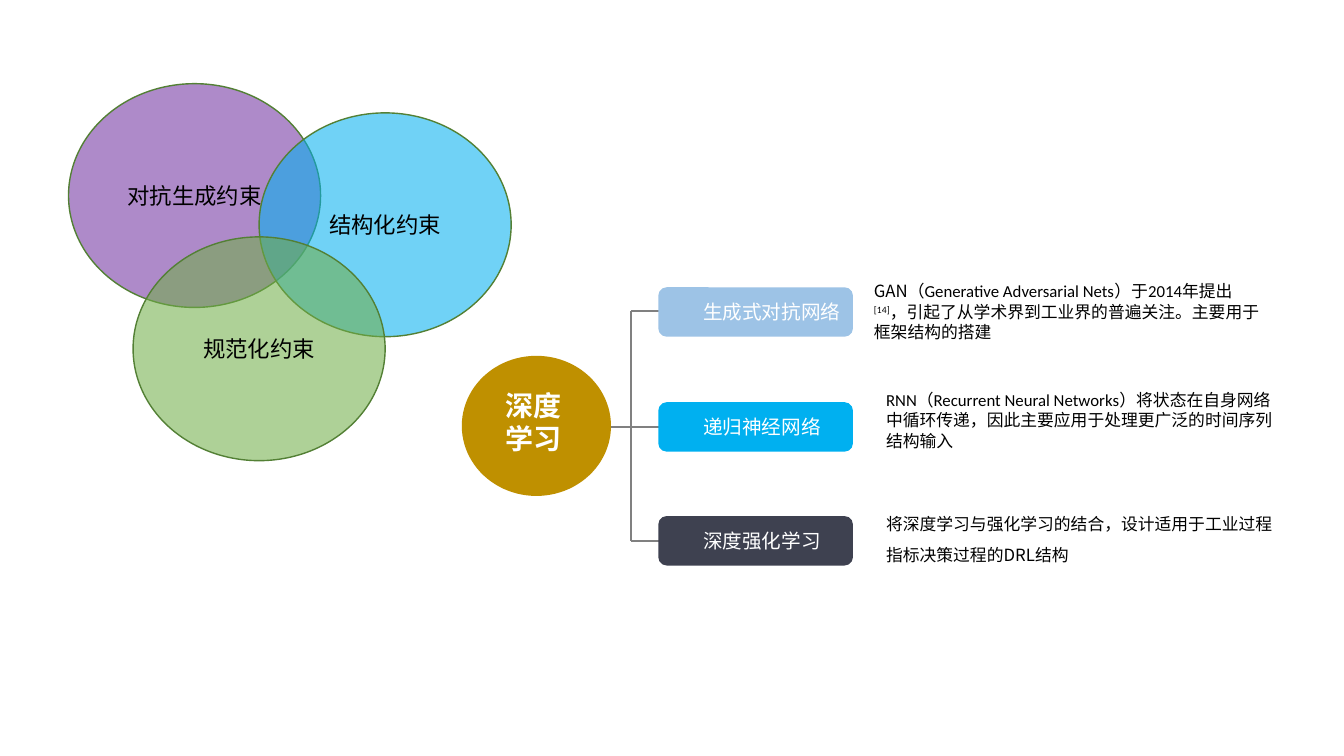
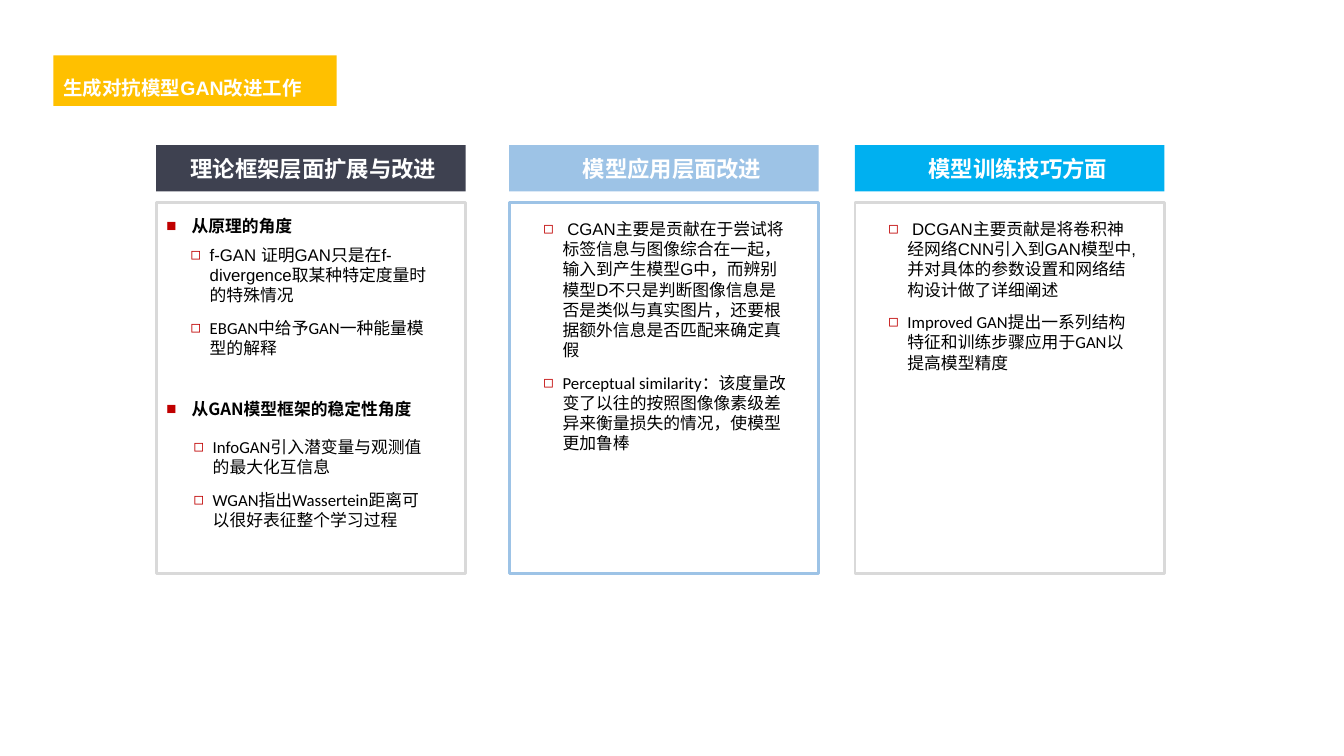
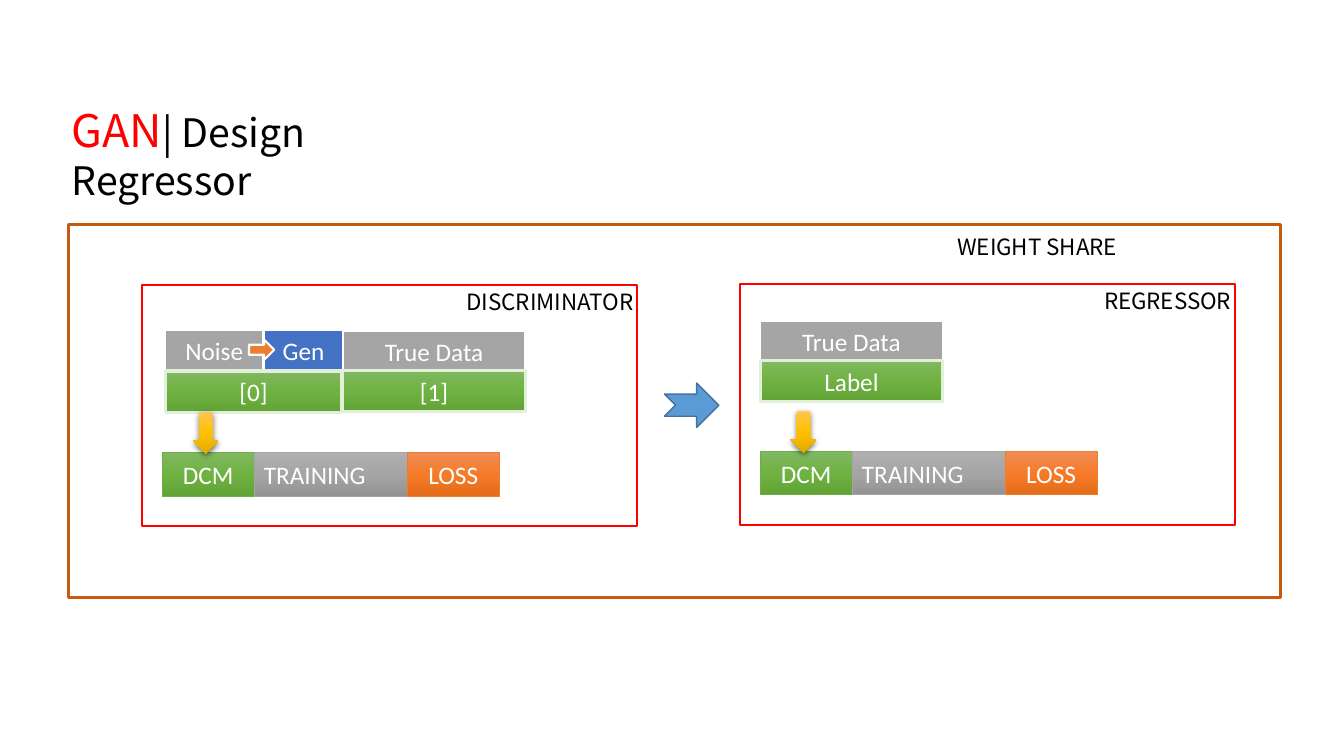
from copy import deepcopy
from dataclasses import dataclass

from lxml import etree
from pptx import Presentation
from pptx.dml.color import RGBColor
from pptx.enum.shapes import MSO_CONNECTOR, MSO_SHAPE
from pptx.enum.text import MSO_ANCHOR, MSO_AUTO_SIZE, PP_ALIGN
from pptx.oxml.ns import qn
from pptx.util import Inches, Pt

RECTANGLE = MSO_SHAPE.RECTANGLE
ROUNDED = MSO_SHAPE.ROUNDED_RECTANGLE
OVAL = MSO_SHAPE.OVAL
RIGHT_ARROW = MSO_SHAPE.RIGHT_ARROW
DOWN_ARROW = MSO_SHAPE.DOWN_ARROW
NOTCHED_ARROW = MSO_SHAPE.NOTCHED_RIGHT_ARROW
STRAIGHT = MSO_CONNECTOR.STRAIGHT
LEFT, CENTER, RIGHT = PP_ALIGN.LEFT, PP_ALIGN.CENTER, PP_ALIGN.RIGHT
TOP, MIDDLE = MSO_ANCHOR.TOP, MSO_ANCHOR.MIDDLE
NO_AUTOSIZE = MSO_AUTO_SIZE.NONE

LAYOUT_COMPARISON, LAYOUT_TITLE_ONLY, LAYOUT_BLANK = 4, 5, 6
SANS, KOREAN_SANS = "Noto Sans CJK SC", "Noto Sans CJK KR"
CALIBRI, ARIAL = "Calibri", "Arial"

BLACK, WHITE, RED = "000000", "FFFFFF", "FF0000"
SLATE, PALE_BLUE, CYAN = "3E4150", "9DC3E6", "00B0F0"
GREY, GREEN, ORANGE, FRAME_GREY = "A5A5A5", "70AD47", "ED7D31", "D9D9D9"
BULLET_RED, PALE_GREEN = "C00000", "E2F0D9"
GREEN_FADE = ("81B861", "6FB242", "62A336")
GREY_FADE = ("AFAFAF", "A5A5A5", "939393")
ORANGE_FADE = ("F18C57", "F67B28", "E56C19")
GOLD_FADE = ("FFC64B", "FFC000", "E3AB00")


@dataclass(frozen=True)
class TextStyle:
    size: float
    font: str = SANS
    color: str = BLACK
    bold: bool = False
    align: int = LEFT


@dataclass(frozen=True)
class Circle:
    text: str
    left: float
    top: float
    color: str


@dataclass(frozen=True)
class Branch:
    text: str
    center: float
    color: str


@dataclass(frozen=True)
class ListItem:
    text: str
    font: str = CALIBRI
    margin: float = 0.19
    hanging: float = 0.19
    space_before: float = 9
    marker: str = "◻"
    bold: bool = False


@dataclass(frozen=True)
class Column:
    heading: str
    left: float
    heading_inset: float
    color: str
    frame_color: str
    list_box: tuple
    items: tuple


@dataclass(frozen=True)
class Cell:
    text: str
    box: tuple
    fill: str | tuple
    line: str
    line_width: float
    align: int = CENTER


def rgb(color: str) -> RGBColor:
    return RGBColor.from_string(color)


def set_fill(shape, fill: str | tuple | None, opacity: int = 100) -> None:
    if fill is None:
        shape.fill.background()
    elif isinstance(fill, str):
        shape.fill.solid()
        shape.fill.fore_color.rgb = rgb(fill)
        if opacity < 100:
            color = next(shape._element.spPr.iter(qn("a:srgbClr")))
            etree.SubElement(color, qn("a:alpha"), val=str(opacity * 1000))
    else:
        shape.fill.gradient()
        shape.fill.gradient_angle = 270
        stop_list = next(shape._element.spPr.iter(qn("a:gsLst")))
        stop_list.insert(1, deepcopy(stop_list[0]))
        for index, stop in enumerate(shape.fill.gradient_stops):
            stop.position = index / 2
            stop.color.rgb = rgb(fill[index])


def add_box(slide, kind, box: tuple, fill=None, line: str | None = None,
            line_width: float = 1, opacity: int = 100):
    shape = slide.shapes.add_shape(kind, *map(Inches, box))
    shape.shadow.inherit = False
    set_fill(shape, fill, opacity)
    if line:
        shape.line.color.rgb = rgb(line)
        shape.line.width = Pt(line_width)
    else:
        shape.line.fill.background()
    return shape


def add_shadow(shape) -> None:
    effects = shape._element.spPr.find(qn("a:effectLst"))
    shadow = etree.SubElement(effects, qn("a:outerShdw"), blurRad=str(Pt(4.5)),
                              dist=str(Pt(1.5)), dir="5400000", rotWithShape="0")
    color = etree.SubElement(shadow, qn("a:srgbClr"), val=BLACK)
    etree.SubElement(color, qn("a:alpha"), val="63000")


def prepare_frame(shape, anchor) -> None:
    frame = shape.text_frame
    frame.word_wrap = True
    frame.auto_size = NO_AUTOSIZE
    frame.vertical_anchor = anchor


def format_paragraph(paragraph, style: TextStyle) -> None:
    paragraph.alignment = style.align
    font = paragraph.font
    font.size = Pt(style.size)
    font.name = style.font
    font.bold = style.bold
    font.color.rgb = rgb(style.color)
    etree.SubElement(font._rPr, qn("a:ea"), typeface=SANS)


def write(shape, text: str, style: TextStyle, anchor=MIDDLE) -> None:
    prepare_frame(shape, anchor)
    shape.text_frame.text = text
    for paragraph in shape.text_frame.paragraphs:
        format_paragraph(paragraph, style)


def add_text(slide, text: str, box: tuple, style: TextStyle):
    shape = slide.shapes.add_textbox(*map(Inches, box))
    write(shape, text, style, TOP)
    return shape


def add_line(slide, start: tuple, end: tuple) -> None:
    connector = slide.shapes.add_connector(STRAIGHT, *map(Inches, start + end))
    connector.line.color.rgb = rgb("808080")
    connector.line.width = Pt(1.5)
    etree.SubElement(connector._element.spPr, qn("a:effectLst"))


def place(shape, box: tuple) -> None:
    shape.left, shape.top, shape.width, shape.height = map(Inches, box)


def set_baseline(run, percent: int) -> None:
    run._r.get_or_add_rPr().set("baseline", str(percent * 1000))


def fill_list(shape, box: tuple, items: tuple) -> None:
    place(shape, box)
    prepare_frame(shape, TOP)
    shape.text_frame.text = "\n".join(item.text for item in items)
    for paragraph, item in zip(shape.text_frame.paragraphs, items):
        properties = paragraph._p.get_or_add_pPr()
        properties.set("marL", str(Inches(item.margin)))
        properties.set("indent", str(Inches(-item.hanging)))
        bullet_color = etree.SubElement(properties, qn("a:buClr"))
        etree.SubElement(bullet_color, qn("a:srgbClr"), val=BULLET_RED)
        etree.SubElement(properties, qn("a:buChar"), char=item.marker)
        paragraph.space_before = Pt(item.space_before)
        paragraph.space_after = Pt(0)
        format_paragraph(paragraph, TextStyle(12, item.font, bold=item.bold))


CIRCLES = (
    Circle("对抗生成约束", 0.68, 0.83, "7030A0"),
    Circle("结构化约束", 2.57, 1.12, CYAN),
    Circle("规范化约束", 1.32, 2.35, GREEN),
)
BRANCHES = (
    Branch("生成式对抗网络", 3.09, PALE_BLUE),
    Branch("递归神经网络", 4.23, CYAN),
    Branch("深度强化学习", 5.36, SLATE),
)


def build_deep_learning(presentation) -> None:
    slide = presentation.slides.add_slide(presentation.slide_layouts[LAYOUT_BLANK])
    for circle in CIRCLES:
        shape = add_box(slide, OVAL, (circle.left, circle.top, 2.5, 2.22),
                        circle.color, "538035", opacity=56)
        write(shape, circle.text, TextStyle(16, CALIBRI, align=CENTER))

    trunk = 6.26
    add_line(slide, (trunk, 3.09), (trunk, 5.37))
    for start, end, height in ((trunk, 7.25, 3.09), (5.87, 6.86, 4.24),
                               (trunk, 7.25, 5.37)):
        add_line(slide, (start, height), (end, height))
    hub = add_box(slide, OVAL, (4.58, 3.53, 1.48, 1.39), "BF9000")
    write(hub, "深度\n学习", TextStyle(20, color=WHITE, bold=True, align=CENTER))
    hub.text_frame.margin_right = Inches(0.16)
    hub.text_frame.margin_bottom = Inches(0.13)
    for branch in BRANCHES:
        shape = add_box(slide, ROUNDED, (6.53, branch.center - 0.24, 1.93, 0.49),
                        branch.color)
        write(shape, branch.text, TextStyle(14, color=WHITE))
        shape.text_frame.margin_left = Inches(0.42)
        shape.text_frame.margin_right = 0

    gan = add_text(slide, "GAN（", (8.57, 2.74, 4.07, 0.71), TextStyle(12))
    paragraph = gan.text_frame.paragraphs[0]
    for text in ("Generative Adversarial Nets）于2014年提出", "[14]",
                 "，引起了从学术界到工业界的普遍关注。主要用于框架结构的搭建"):
        run = paragraph.add_run()
        run.text = text
        run.font.name = CALIBRI
    set_baseline(paragraph.runs[2], 30)
    add_text(slide, "RNN（Recurrent Neural Networks）将状态在自身网络中循环传递，"
             "因此主要应用于处理更广泛的时间序列结构输入",
             (8.69, 3.82, 4.07, 0.91), TextStyle(12, CALIBRI))
    reinforcement = add_text(
        slide, "将深度学习与强化学习的结合，设计适用于工业过程指标决策过程的DRL结构",
        (8.69, 4.95, 4.07, 0.91), TextStyle(12))
    reinforcement.text_frame.paragraphs[0].line_spacing = 1.5


COLUMNS = (
    Column("理论框架层面扩展与改进", 1.55, 0.34, SLATE, FRAME_GREY,
           (1.55, 2.09, 2.78, 3.3), (
               ListItem("从原理的角度", SANS, 0.25, 0.25, 0, "■", True),
               ListItem("f-GAN 证明GAN只是在f-divergence取某种特定度量时的特殊情况",
                        ARIAL, 0.43, space_before=6),
               ListItem("EBGAN中给予GAN一种能量模型的解释", margin=0.43),
               ListItem("从GAN模型框架的稳定性角度", SANS, 0.25, 0.25, 29, "■", True),
               ListItem("InfoGAN引入潜变量与观测值的最大化互信息",
                        margin=0.46, space_before=13),
               ListItem("WGAN指出Wassertein距离可以很好表征整个学习过程", margin=0.46),
           )),
    Column("模型应用层面改进", 5.05, 0.73, PALE_BLUE, PALE_BLUE,
           (5.29, 2.12, 2.67, 2.25), (
               ListItem(" CGAN主要是贡献在于尝试将标签信息与图像综合在一起，"
                        "输入到产生模型G中，而辨别模型D不只是判断图像信息是否是"
                        "类似与真实图片，还要根据额外信息是否匹配来确定真假", ARIAL),
               ListItem("Perceptual similarity：该度量改变了以往的按照图像像素级差异"
                        "来衡量损失的情况，使模型更加鲁棒"),
           )),
    Column("模型训练技巧方面", 8.48, 0.73, CYAN, FRAME_GREY,
           (8.71, 2.12, 2.67, 1.64), (
               ListItem(" DCGAN主要贡献是将卷积神经网络CNN引入到GAN模型中,"
                        "并对具体的参数设置和网络结构设计做了详细阐述", ARIAL),
               ListItem("Improved GAN提出一系列结构特征和训练步骤应用于GAN以提高模型精度"),
           )),
)


def build_improvements(presentation) -> None:
    slide = presentation.slides.add_slide(
        presentation.slide_layouts[LAYOUT_COMPARISON])
    title, *bodies = slide.placeholders
    place(title, (0.53, 0.55, 2.81, 0.5))
    set_fill(title, "FFC000")
    write(title, "生成对抗模型GAN改进工作", TextStyle(24, ARIAL, WHITE, True), TOP)
    set_baseline(title.text_frame.paragraphs[0].runs[0], -3)

    for column, body in zip(COLUMNS, bodies):
        add_box(slide, RECTANGLE, (column.left, 2.01, 3.07, 3.68),
                line=column.frame_color, line_width=2)
        heading = add_box(slide, RECTANGLE, (column.left, 1.44, 3.07, 0.46),
                          column.color)
        write(heading, column.heading, TextStyle(16, color=WHITE, bold=True))
        heading.text_frame.margin_left = Inches(column.heading_inset)
        fill_list(body, column.list_box, column.items)
    for unused in bodies[len(COLUMNS):]:
        unused._element.getparent().remove(unused._element)


SAMPLES = (
    Cell("Noise", (1.64, 3.27, 0.97, 0.41), GREY, WHITE, 1.5),
    Cell("Gen", (2.62, 3.27, 0.78, 0.41), "4472C4", WHITE, 1.5),
    Cell("[0]", (1.64, 3.68, 1.75, 0.41), GREEN_FADE, PALE_GREEN, 2.25),
)


def add_cell(slide, cell: Cell) -> None:
    shape = add_box(slide, RECTANGLE, cell.box, cell.fill, cell.line, cell.line_width)
    write(shape, cell.text, TextStyle(18, CALIBRI, WHITE, align=cell.align))


def add_caption(slide, text: str, left: float, top: float) -> None:
    add_text(slide, text, (left, top, 2.15, 0.84),
             TextStyle(16, KOREAN_SANS, align=RIGHT))


def add_true_data(slide, label: str, left: float, top: float) -> None:
    add_cell(slide, Cell("True Data", (left, top, 1.81, 0.41), GREY, WHITE, 1.5))
    add_cell(slide, Cell(label, (left, top + 0.4, 1.81, 0.4),
                         GREEN_FADE, PALE_GREEN, 2.25))


def add_module(slide, caption: str, left: float, top: float) -> None:
    add_box(slide, RECTANGLE, (left, top, 4.91, 2.39), line=RED, line_width=1.5)
    row = top + 1.66
    for cell in (
        Cell("DCM", (left + 0.2, row, 0.91, 0.43), GREEN_FADE, GREEN, 0.5),
        Cell("TRAINING", (left + 1.11, row, 2.43, 0.43), GREY_FADE, GREY, 0.5, LEFT),
        Cell("LOSS", (left + 2.63, row, 0.91, 0.43), ORANGE_FADE, ORANGE, 0.5),
    ):
        add_cell(slide, cell)
    arrow = add_box(slide, DOWN_ARROW, (left + 0.5, top + 1.26, 0.26, 0.41), GOLD_FADE)
    add_shadow(arrow)
    add_caption(slide, caption, left + 2.82, top - 0.02)


def build_regressor(presentation) -> None:
    slide = presentation.slides.add_slide(
        presentation.slide_layouts[LAYOUT_TITLE_ONLY])
    title = slide.shapes.title
    place(title, (0.61, 0.97, 3.64, 2.05))
    write(title, "GAN", TextStyle(28, KOREAN_SANS), TOP)
    paragraph = title.text_frame.paragraphs[0]
    topic = paragraph.runs[0]
    topic.font.size = Pt(32)
    topic.font.color.rgb = rgb(RED)
    paragraph.add_run().text = "| Design Regressor"

    add_box(slide, RECTANGLE, (0.68, 2.23, 12.02, 3.7), line="C55A11", line_width=2.25)
    for cell in SAMPLES:
        add_cell(slide, cell)
    add_box(slide, RIGHT_ARROW, (2.47, 3.37, 0.25, 0.2), ORANGE, WHITE, 1.5)
    add_true_data(slide, "[1]", 3.4, 3.28)
    add_module(slide, "DISCRIMINATOR", 1.41, 2.83)
    add_box(slide, NOTCHED_ARROW, (6.59, 3.8, 0.54, 0.44), "5B9BD5", "43739E")
    add_true_data(slide, "Label", 7.54, 3.18)
    add_module(slide, "REGRESSOR", 7.34, 2.82)
    add_caption(slide, "WEIGHT SHARE", 9.03, 2.26)


def main() -> None:
    presentation = Presentation()
    presentation.slide_width = Inches(13.33)
    presentation.slide_height = Inches(7.5)
    build_deep_learning(presentation)
    build_improvements(presentation)
    build_regressor(presentation)
    presentation.save("out.pptx")


if __name__ == "__main__":
    main()
